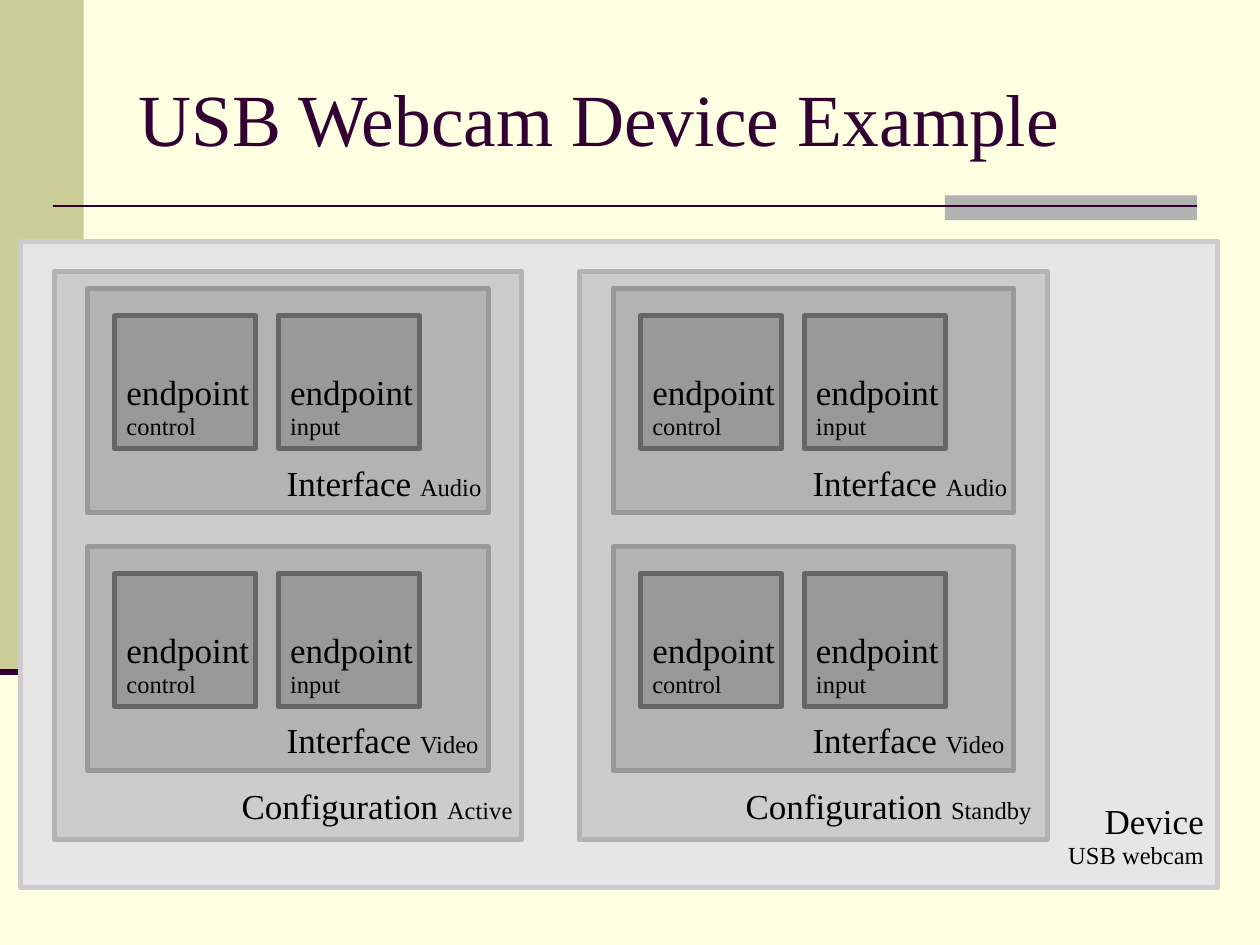
from dataclasses import dataclass

from lxml.etree import SubElement
from pptx import Presentation
from pptx.dml.color import RGBColor
from pptx.enum.shapes import MSO_CONNECTOR, MSO_SHAPE
from pptx.enum.text import MSO_ANCHOR, PP_ALIGN
from pptx.oxml.ns import qn
from pptx.util import Cm, Pt


@dataclass(frozen=True)
class Theme:
    font: str = "Times New Roman"
    title_size: float = 42
    name_size: float = 20
    detail_size: float = 14
    border: float = 2.83
    background: str = "FFFFE1"
    accent: str = "330033"
    band: str = "CCCC99"
    tab: str = "B2B2B2"
    text: str = "000000"
    # (fill, border) of each nesting level
    device: tuple = ("E6E6E6", "CCCCCC")
    configuration: tuple = ("CCCCCC", "B3B3B3")
    interface: tuple = ("B3B3B3", "999999")
    endpoint: tuple = ("999999", "666666")


THEME = Theme()


def color(value):
    return RGBColor.from_string(value)


def add_box(shapes, box, fill, border=None):
    sp = shapes.add_shape(MSO_SHAPE.RECTANGLE, *map(Cm, box))
    sp.shadow.inherit = False
    sp.fill.solid()
    sp.fill.fore_color.rgb = color(fill)
    if border:
        sp.line.color.rgb = color(border)
        sp.line.width = Pt(THEME.border)
    else:
        sp.line.fill.background()
    return sp


def add_rule(shapes, x1, x2, y, width):
    line = shapes.add_connector(MSO_CONNECTOR.STRAIGHT, Cm(x1), Cm(y), Cm(x2), Cm(y))
    line.line.color.rgb = color(THEME.accent)
    line.line.width = Pt(width)
    SubElement(line._element.spPr, qn("a:effectLst"))


def add_run(p, text, size, rgb=THEME.text):
    r = p.add_run()
    r.text = text
    r.font.name = THEME.font
    r.font.size = Pt(size)
    r.font.color.rgb = color(rgb)


def add_label(shapes, box, name, detail, stacked=False, align=PP_ALIGN.LEFT):
    """Large name with a small detail, beside it or on the line below."""
    tf = shapes.add_textbox(*map(Cm, box)).text_frame
    tf.word_wrap = True
    tf.margin_left = tf.margin_right = tf.margin_bottom = 0
    tf.margin_top = Cm(0.05)
    p = tf.paragraphs[0]
    p.alignment = align
    p.line_spacing = 0.93
    add_run(p, name if stacked else f"{name} ", THEME.name_size)
    if stacked:
        p.add_line_break()
    add_run(p, detail, THEME.detail_size)


def add_decoration(shapes):
    add_box(shapes, (0, 0, 1.69, 13.55), THEME.band)
    add_box(shapes, (19.05, 3.94, 5.08, 0.5), THEME.tab)
    add_rule(shapes, 1.06, 24.13, 4.15, 1.5)
    add_rule(shapes, 0, 1.69, 13.55, 3.5)


def add_title(shapes, box, text):
    tf = shapes.add_textbox(*map(Cm, box)).text_frame
    tf.word_wrap = True
    tf.vertical_anchor = MSO_ANCHOR.MIDDLE
    add_run(tf.paragraphs[0], text, THEME.title_size, THEME.accent)


def add_endpoint(shapes, box, role):
    x, y, _, _ = box
    add_box(shapes, box, *THEME.endpoint)
    add_label(shapes, (x + 0.24, y + 1.13, 2.55, 1.37), "endpoint", role, stacked=True)


def add_interface(shapes, box, kind):
    x, y, _, _ = box
    group = shapes.add_group_shape().shapes
    add_box(group, box, *THEME.interface)
    add_label(group, (x + 4.02, y + 3.5, 4.05, 0.81), "Interface", kind)
    for i, role in enumerate(("control", "input")):
        add_endpoint(group, (x + 0.55 + 3.3 * i, y + 0.55, 2.85, 2.67), role)


def add_configuration(shapes, box, state, label_x, label_w):
    x, y, _, _ = box
    add_box(shapes, box, *THEME.configuration)
    add_label(shapes, (x + label_x, y + 10.38, label_w, 0.81), "Configuration", state)
    for i, kind in enumerate(("Audio", "Video")):
        add_interface(shapes, (x + 0.67, y + 0.35 + 5.2 * i, 8.08, 4.52), kind)


def add_device(shapes, box):
    x, y, _, _ = box
    add_box(shapes, box, *THEME.device)
    add_label(shapes, (x + 20.85, y + 11.28, 3, 1.4), "Device", "USB webcam",
              stacked=True, align=PP_ALIGN.RIGHT)
    states = (("Active", 3.78, 5.6), ("Standby", 3.34, 5.95))
    for i, state in enumerate(states):
        add_configuration(shapes, (x + 0.67 + 10.6 * i, y + 0.6, 9.42, 11.46), *state)


def main():
    prs = Presentation()
    prs.slide_width, prs.slide_height = Cm(25.4), Cm(19.05)
    s = prs.slides.add_slide(prs.slide_layouts[6])
    s.background.fill.solid()
    s.background.fill.fore_color.rgb = color(THEME.background)
    add_decoration(s.shapes)
    add_title(s.shapes, (2.54, 0.78, 21.59, 3.18), "USB Webcam Device Example")
    add_device(s.shapes, (0.42, 4.87, 24.13, 13.03))
    prs.save("out.pptx")


if __name__ == "__main__":
    main()
